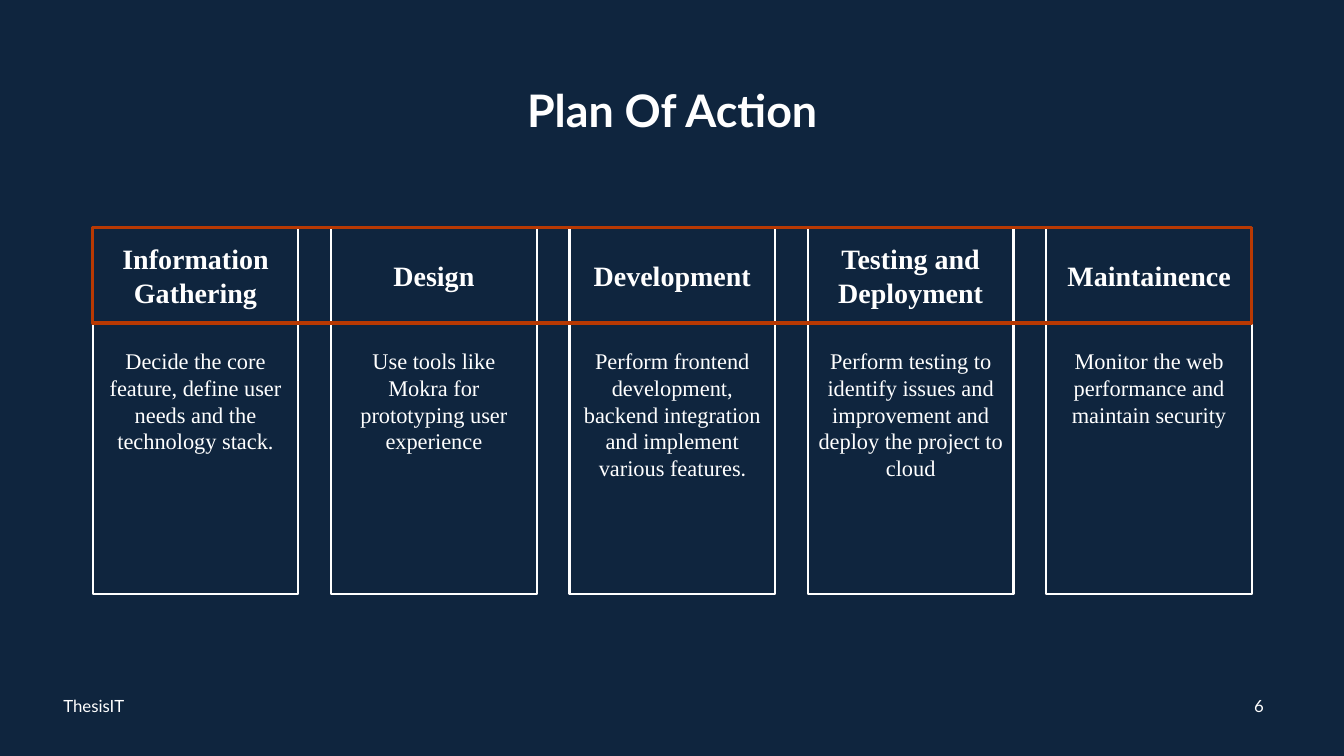
from dataclasses import dataclass
from typing import Any

from pptx import Presentation
from pptx.dml.color import RGBColor
from pptx.enum.shapes import MSO_SHAPE
from pptx.enum.text import MSO_ANCHOR, PP_ALIGN
from pptx.util import Pt

COLOURS = {"night": "0F253E", "white": "FFFFFF", "rust": "B83903"}
SERIF, SANS = "Times New Roman", "Lato"
FORMATS: dict[str, dict[str, Any]] = {
    "title": {"name": SANS, "size": Pt(32), "bold": True},
    "heading": {"name": SERIF, "size": Pt(20), "bold": True},
    "detail": {"name": SERIF, "size": Pt(16), "bold": False},
    "full stop": {"name": SANS, "size": Pt(15), "bold": False},
    "footer": {"name": SANS, "size": Pt(12), "bold": False},
}
LEFT, PITCH, PHASE_WIDTH = 66.25, 170.28, 146.9
HEADING_TOP, HEADING_HEIGHT = 162.7, 68
DETAIL_TOP, DETAIL_HEIGHT = 230.6, 194
BAND_WIDTH = 828


@dataclass
class Area:
    left: float
    top: float
    width: float
    height: float

    def lengths(self) -> tuple[Pt, Pt, Pt, Pt]:
        return Pt(self.left), Pt(self.top), Pt(self.width), Pt(self.height)


@dataclass
class Phase:
    heading: str
    detail: str
    ending: str = ""


@dataclass
class Label:
    text: str
    area: Area
    style: str
    align: PP_ALIGN = PP_ALIGN.CENTER


PHASES = [
    Phase("Information Gathering",
          "Decide the core feature, define user needs and the technology stack."),
    Phase("Design", "Use tools like Mokra for prototyping user experience"),
    Phase("Development",
          "Perform frontend development, backend integration and implement various features", "."),
    Phase("Testing and Deployment",
          "Perform testing to identify issues and improvement and deploy the project to cloud"),
    Phase("Maintainence", "Monitor the web performance and maintain security"),
]
LABELS = [
    Label("Plan Of Action", Area(66.25, 28.8, 828, 104.4), "title"),
    Label("ThesisIT", Area(38.2, 489.6, 324, 28.8), "footer", PP_ALIGN.LEFT),
    Label("6", Area(881.3, 489.6, 36, 28.8), "footer"),
]


def colour(name: str) -> RGBColor:
    return RGBColor.from_string(COLOURS[name])


def add_words(paragraph: Any, words: str, style: str) -> None:
    run = paragraph.add_run()
    run.text = words
    for attribute, value in FORMATS[style].items():
        setattr(run.font, attribute, value)
    run.font.color.rgb = colour("white")


def prepare_text(shape: Any, anchor: MSO_ANCHOR, align: PP_ALIGN, inset: float = 3.6) -> Any:
    frame = shape.text_frame
    settings = {"word_wrap": True, "vertical_anchor": anchor, "margin_top": Pt(inset)}
    for attribute, value in settings.items():
        setattr(frame, attribute, value)
    paragraph = frame.paragraphs[0]
    paragraph.alignment = align
    return paragraph


def add_outline(slide: Any, area: Area, line: str, weight: float) -> Any:
    outline = slide.shapes.add_shape(MSO_SHAPE.RECTANGLE, *area.lengths())
    outline.shadow.inherit = False
    outline.fill.background()
    outline.line.color.rgb = colour(line)
    outline.line.width = Pt(weight)
    return outline


def add_label(slide: Any, label: Label) -> None:
    words = slide.shapes.add_textbox(*label.area.lengths())
    paragraph = prepare_text(words, MSO_ANCHOR.MIDDLE, label.align)
    if label.style == "title":
        paragraph.line_spacing = 0.9
    add_words(paragraph, label.text, label.style)


def add_phase(slide: Any, phase: Phase, left: float) -> None:
    heading = add_outline(
        slide, Area(left, HEADING_TOP, PHASE_WIDTH, HEADING_HEIGHT), "white", 1.5)
    add_words(prepare_text(heading, MSO_ANCHOR.MIDDLE, PP_ALIGN.CENTER),
              phase.heading, "heading")
    detail = add_outline(
        slide, Area(left, DETAIL_TOP, PHASE_WIDTH, DETAIL_HEIGHT), "white", 1.5)
    paragraph = prepare_text(detail, MSO_ANCHOR.TOP, PP_ALIGN.CENTER, 17.3)
    add_words(paragraph, phase.detail, "detail")
    if phase.ending:
        add_words(paragraph, phase.ending, "full stop")


def main() -> None:
    presentation = Presentation()
    presentation.slide_width, presentation.slide_height = Pt(960), Pt(540)
    slide = presentation.slides.add_slide(presentation.slide_layouts[6])
    slide.background.fill.solid()
    slide.background.fill.fore_color.rgb = colour("night")
    for position, phase in enumerate(PHASES):
        add_phase(slide, phase, LEFT + position * PITCH)
    for label in LABELS:
        add_label(slide, label)
    add_outline(slide, Area(LEFT, HEADING_TOP, BAND_WIDTH, HEADING_HEIGHT), "rust", 2.25)
    presentation.save("out.pptx")


if __name__ == "__main__":
    main()
